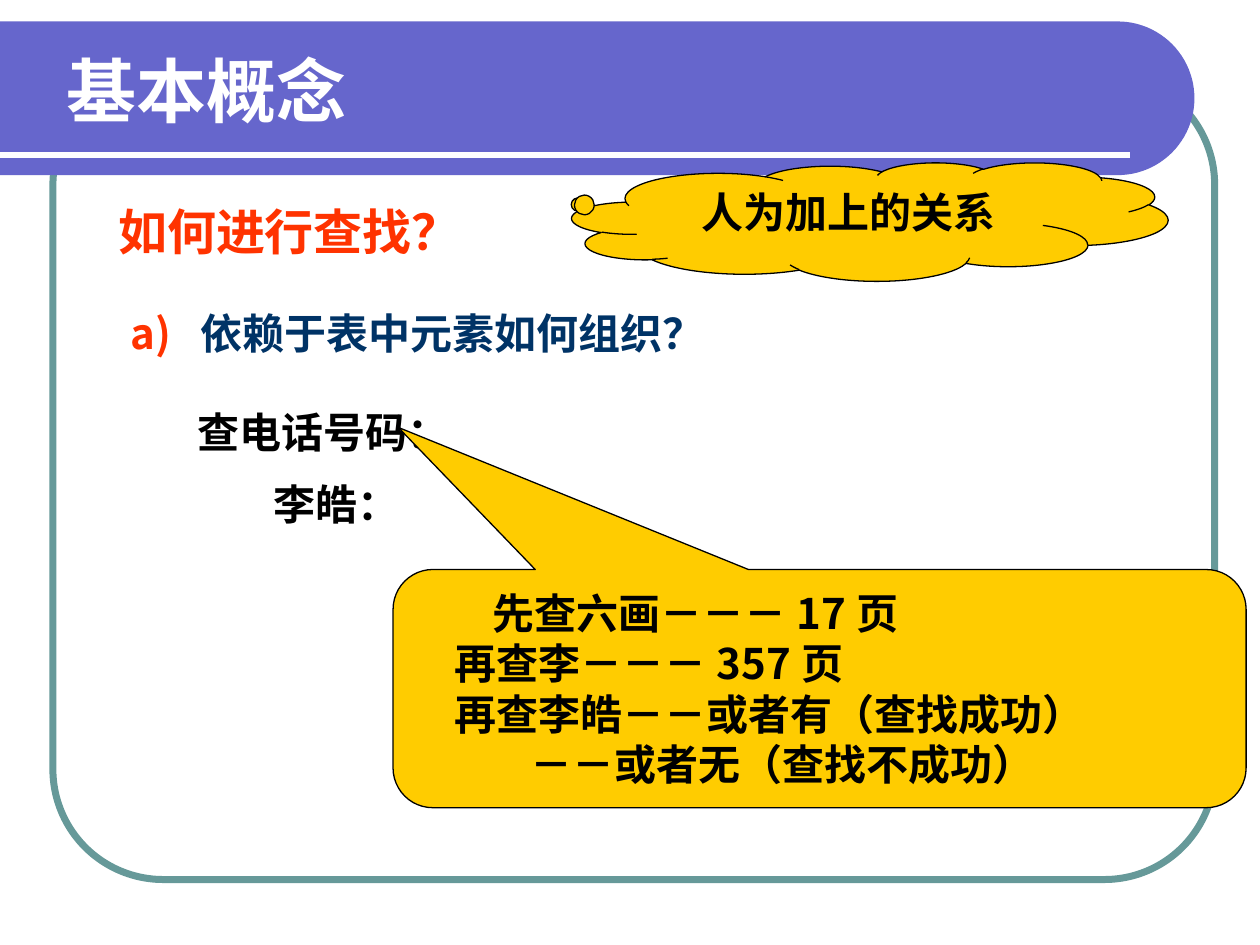
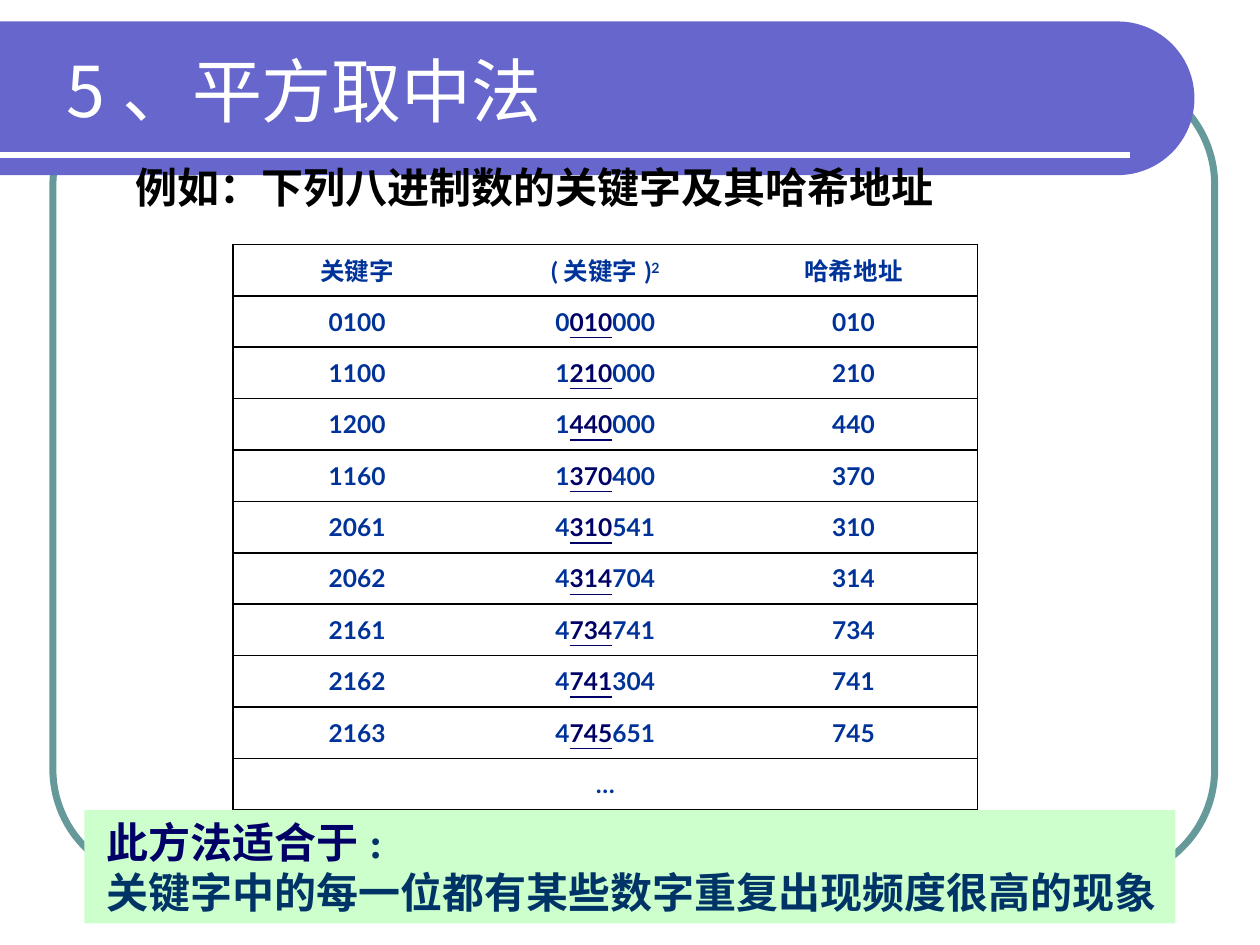
"""Build two lecture slides on searching and hashing."""
from dataclasses import dataclass
from math import cos, pi, sin

from lxml.etree import SubElement
from pptx import Presentation
from pptx.dml.color import RGBColor as RGB
from pptx.enum.shapes import MSO_CONNECTOR as Connector, MSO_SHAPE as Shape
from pptx.enum.text import MSO_ANCHOR as Anchor, PP_ALIGN as Align
from pptx.oxml.ns import qn
from pptx.util import Inches, Pt


@dataclass(frozen=True)
class Theme:
    band: str = "6666CC"
    frame: str = "669999"
    white: str = "FFFFFF"
    black: str = "000000"
    red: str = "FF3300"
    navy: str = "003366"
    indigo: str = "000066"
    blue: str = "003399"
    gold: str = "FFCC00"
    mint: str = "CCFFCC"
    serif: str = "Times New Roman"
    sans: str = "Noto Sans CJK SC"
    table_font: str = "Lato"
    title: int = 40
    heading: int = 28
    body: int = 24
    cell: int = 14


theme = Theme()

CONCEPT_TITLE = "基本概念"
QUESTION = "如何进行查找？"
ITEM = [("a)\t", theme.red), ("依赖于表中元素如何组织？", theme.navy)]
LOOKUP = [(0.08, "查电话号码："), (0.68, "李皓：")]
STEPS = [
    (0.6, "先查六画－－－17页"),
    (0.3, "再查李－－－357页"),
    (0.3, "再查李皓－－或者有（查找成功）"),
    (0.9, "－－或者无（查找不成功）"),
]
RELATION = "人为加上的关系"

SQUARE_TITLE = "5、平方取中法"
EXAMPLE = "例如：下列八进制数的关键字及其哈希地址"
HEADERS = ["关键字", "(关键字)", "哈希地址"]
SQUARES = [
    ("0100", "0010000"), ("1100", "1210000"), ("1200", "1440000"),
    ("1160", "1370400"), ("2061", "4310541"), ("2062", "4314704"),
    ("2161", "4734741"), ("2162", "4741304"), ("2163", "4745651"),
]
SUITED = [("此方法适合于", theme.indigo), (": ", theme.navy)]
REASON = "关键字中的每一位都有某些数字重复出现频度很高的现象"


def box(*lengths):
    return [Inches(length) for length in lengths]


def style(paragraph, size=theme.body, color=theme.black, name=theme.serif, bold=True):
    font = paragraph.font
    font.size, font.bold, font.name = Pt(size), bold, name
    font.color.rgb = RGB.from_string(color)
    properties = paragraph._p.get_or_add_pPr()
    SubElement(properties.find(qn("a:defRPr")), qn("a:ea"), typeface=theme.sans)


def add_runs(paragraph, runs):
    for text, color in runs:
        run = paragraph.add_run()
        run.text = text
        run.font.color.rgb = RGB.from_string(color)


def set_indent(paragraph, left, first=0):
    properties = paragraph._p.get_or_add_pPr()
    properties.set("marL", str(Inches(left)))
    properties.set("indent", str(Inches(first)))


def write(shape, lines, anchor=Anchor.TOP, wrap=True, gap=0, align=Align.LEFT, **look):
    frame = shape.text_frame
    frame.word_wrap, frame.vertical_anchor = wrap, anchor
    for index, (indent, content) in enumerate(lines):
        paragraph = frame.add_paragraph() if index else frame.paragraphs[0]
        paragraph.alignment = align
        set_indent(paragraph, indent)
        if index and gap:
            paragraph.space_before = Pt(gap)
        style(paragraph, **look)
        if isinstance(content, str):
            paragraph.add_run().text = content
        else:
            add_runs(paragraph, content)
    return frame


def add_text(slide, place, lines, **options):
    return write(slide.shapes.add_textbox(*box(*place)), lines, **options)


def add_shape(slide, kind, place, fill=None, line=None, width=0.75, adjustments=()):
    shape = slide.shapes.add_shape(kind, *box(*place))
    for index, value in enumerate(adjustments):
        shape.adjustments[index] = value
    paint(shape, fill, line, width)
    return shape


def paint(shape, fill=None, line=None, width=0.75):
    shape.shadow.inherit = False
    if fill:
        shape.fill.solid()
        shape.fill.fore_color.rgb = RGB.from_string(fill)
    else:
        shape.fill.background()
    if line:
        shape.line.color.rgb = RGB.from_string(line)
        shape.line.width = Pt(width)
    else:
        shape.line.fill.background()


def add_base(presentation):
    slide = presentation.slides.add_slide(presentation.slide_layouts[6])
    add_shape(slide, Shape.ROUNDED_RECTANGLE, (0.42, 0.59, 9.22, 6.39),
              line=theme.frame, width=4, adjustments=[0.137])
    top, radius, center, steps = 0.17, 0.61, 8.87, 48
    angles = [pi * step / steps - pi / 2 for step in range(steps + 1)]
    arc = [(center + radius * cos(angle), top + radius + radius * sin(angle))
           for angle in angles]
    builder = slide.shapes.build_freeform(0, Inches(top))
    builder.add_line_segments([box(*point) for point in arc + [(0, top + 2 * radius)]])
    paint(builder.convert_to_shape(), theme.band)
    rule = slide.shapes.add_connector(Connector.STRAIGHT, *box(0, 1.23, 8.97, 1.23))
    rule.line.color.rgb = RGB.from_string(theme.white)
    rule.line.width = Pt(3)
    SubElement(rule._element.spPr, qn("a:effectLst"))
    return slide


def add_title(slide, text, **look):
    add_text(slide, (0.43, 0.21, 8.77, 1), [(0, text)], anchor=Anchor.MIDDLE,
             size=theme.title, color=theme.white, **look)


def set_borders(cell, visible):
    properties = cell._tc.get_or_add_tcPr()
    for side in "LRTB":
        line = SubElement(properties, qn(f"a:ln{side}"), w=str(Pt(1)))
        if side in visible:
            fill = SubElement(line, qn("a:solidFill"))
            SubElement(fill, qn("a:srgbClr"), val=theme.black)
        else:
            SubElement(line, qn("a:noFill"))


def add_square_table(slide):
    rows = [HEADERS]
    rows += [(key, square, square[1:4]) for key, square in SQUARES]
    rows.append(("", "…", ""))
    height = 4.49
    table = slide.shapes.add_table(len(rows), 3, *box(1.85, 1.94, 5.91, height)).table
    table.first_row = table.horz_banding = False
    for row in table.rows:
        row.height = Inches(height / len(rows))
    for row_index, values in enumerate(rows):
        for column, text in enumerate(values):
            cell = table.cell(row_index, column)
            set_borders(cell, "TB" + ("L", "", "R")[column])
            cell.fill.background()
            cell.vertical_anchor = Anchor.MIDDLE
            paragraph = cell.text_frame.paragraphs[0]
            paragraph.alignment = Align.CENTER
            style(paragraph, theme.cell, theme.blue, theme.table_font)
            if column == 1 and 0 < row_index <= len(SQUARES):
                add_runs(paragraph, [(text[0], theme.blue), (text[1:4], theme.indigo),
                                     (text[4:], theme.blue)])
                paragraph.runs[1].font.underline = True
            elif text:
                paragraph.add_run().text = text
    exponent = table.cell(0, 1).text_frame.paragraphs[0].add_run()
    exponent.text = "2"
    exponent._r.get_or_add_rPr().set("baseline", "30000")


def build_concept(presentation):
    slide = add_base(presentation)
    item = add_text(slide, (0.68, 2.39, 9.17, 0.5), [(0, ITEM)], name=theme.sans)
    set_indent(item.paragraphs[0], 0.81, -0.55)
    add_text(slide, (0.84, 1.55, 3.47, 0.57), [(0, QUESTION)],
             size=theme.heading, color=theme.red)
    add_text(slide, (1.39, 3.18, 5.83, 1.1), LOOKUP, gap=theme.body / 2, name=theme.sans)
    callout = add_shape(slide, Shape.ROUNDED_RECTANGULAR_CALLOUT, (3.12, 4.52, 6.77, 1.89),
                        theme.gold, theme.black, adjustments=[-0.494, -1.097, 0.167])
    write(callout, STEPS, name=theme.sans)
    cloud = add_shape(slide, Shape.CLOUD_CALLOUT, (4.54, 1.29, 4.73, 0.94),
                      theme.gold, theme.black, adjustments=[-0.49, -0.145])
    write(cloud, [(0, RELATION)], align=Align.CENTER)
    add_title(slide, CONCEPT_TITLE)


def build_square(presentation):
    slide = add_base(presentation)
    add_text(slide, (0.98, 1.23, 6.57, 0.5), [(0, EXAMPLE)],
             anchor=Anchor.MIDDLE, wrap=False)
    add_square_table(slide)
    note = add_shape(slide, Shape.RECTANGLE, (0.67, 6.43, 8.66, 0.9), theme.mint)
    write(note, [(0.08, SUITED), (0.08, REASON)], color=theme.navy)
    add_title(slide, SQUARE_TITLE, name=theme.sans, bold=False)


presentation = Presentation()
presentation.slide_width, presentation.slide_height = box(10, 7.5)
build_concept(presentation)
build_square(presentation)
presentation.save("out.pptx")
